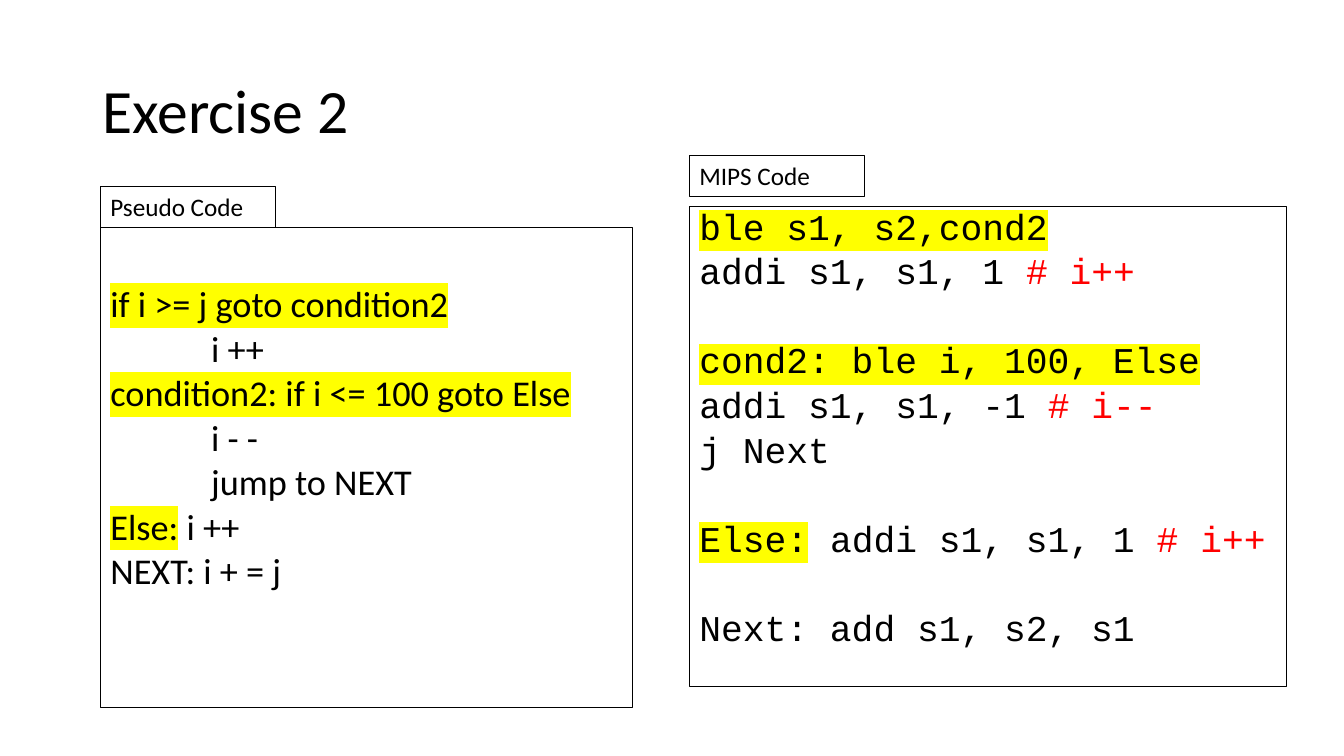
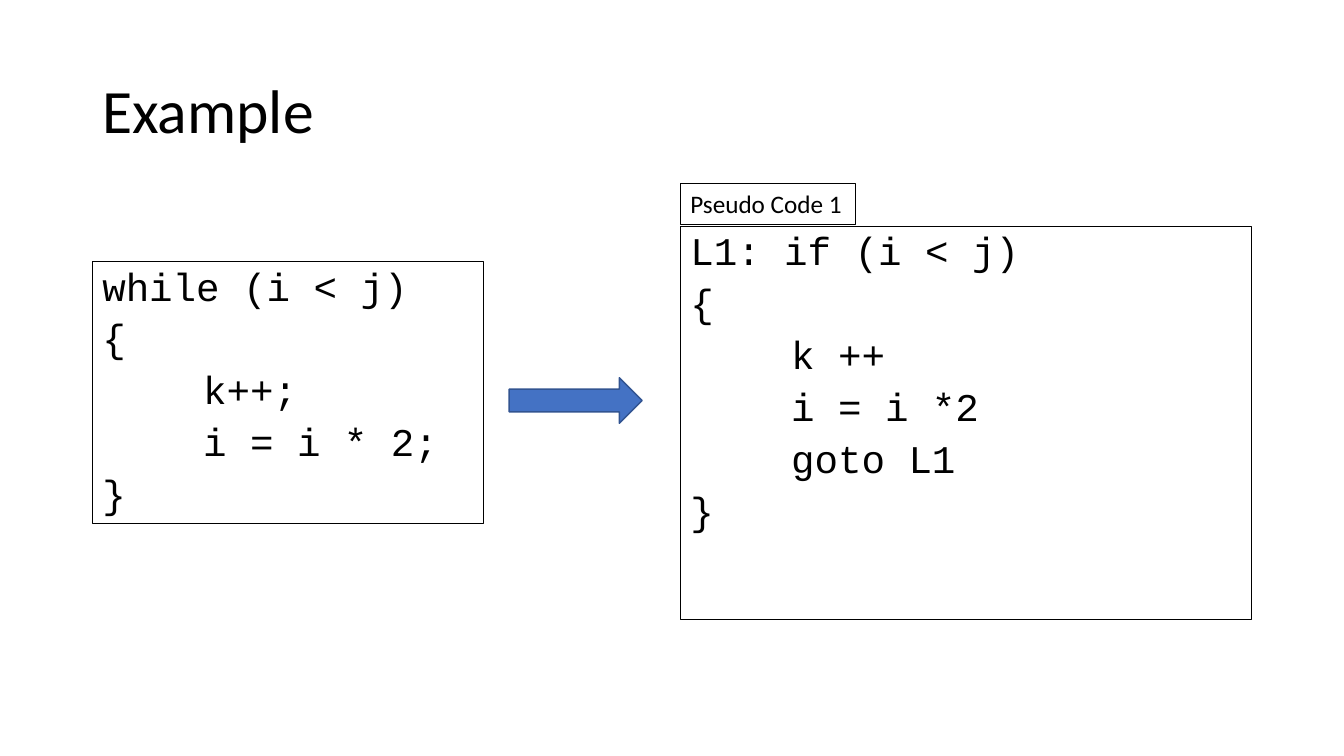
import lxml.etree
import pptx
import pptx.dml.color
import pptx.enum.shapes
import pptx.enum.text
import pptx.oxml.ns
import pptx.util

Pt = pptx.util.Pt
Shape = pptx.enum.shapes.MSO_SHAPE
Anchor = pptx.enum.text.MSO_ANCHOR
BLACK, RED, YELLOW = "000000", "FF0000", "FFFF00"
BLUE, DARK_BLUE = "4472C4", "325491"
SANS, MONO = "Calibri", "Courier New"


def color(value):
    return pptx.dml.color.RGBColor.from_string(value)


def plain(text):
    return (text, BLACK, None)


def marked(text):
    return (text, BLACK, YELLOW)


def remark(text):
    return (text, RED, None)


def line(*spans, level=0, gap=False):
    return spans, level, gap


class Slides:
    inset = 3.6
    indent = 72

    def __init__(self):
        self.deck = pptx.Presentation()
        self.deck.slide_width, self.deck.slide_height = Pt(960), Pt(540)
        self.page = None

    def add_page(self, title):
        self.page = self.deck.slides.add_slide(self.deck.slide_layouts[6])
        box = self.page.shapes.add_textbox(Pt(66), Pt(28.75), Pt(828), Pt(104.4))
        box.text_frame.word_wrap = True
        box.text_frame.vertical_anchor = Anchor.MIDDLE
        para = box.text_frame.paragraphs[0]
        para.line_spacing = 0.9
        self.add_span(para, plain(title), SANS, 44)

    def add_span(self, para, content, font, size):
        text, ink, highlight = content
        span = para.add_run()
        span.text = text
        span.font.name = font
        span.font.size = Pt(size)
        span.font.color.rgb = color(ink)
        if highlight:
            qn = pptx.oxml.ns.qn
            mark = lxml.etree.Element(qn("a:highlight"))
            lxml.etree.SubElement(mark, qn("a:srgbClr"), val=highlight)
            span.font._element.find(qn("a:solidFill")).addnext(mark)

    def add_shape(self, kind, left, top, width, height, fill=None, edge=BLACK, weight=0.75):
        shape = self.page.shapes.add_shape(kind, Pt(left), Pt(top), Pt(width), Pt(height))
        shape.shadow.inherit = False
        if fill:
            shape.fill.solid()
            shape.fill.fore_color.rgb = color(fill)
        else:
            shape.fill.background()
        shape.line.color.rgb = color(edge)
        shape.line.width = Pt(weight)
        return shape

    def add_frame(self, left, top, width, height, inset=inset):
        box = self.add_shape(Shape.RECTANGLE, left, top, width, height)
        frame = box.text_frame
        frame.word_wrap = True
        frame.vertical_anchor = Anchor.TOP
        frame.margin_top = Pt(inset)
        frame.paragraphs[0].alignment = pptx.enum.text.PP_ALIGN.LEFT
        return frame

    def add_label(self, left, top, text):
        frame = self.add_frame(left, top, 125.3, 29.1)
        self.add_span(frame.paragraphs[0], plain(text), SANS, 18)

    def add_code(self, left, top, width, height, lines, font, size, leading, before, inset=inset):
        frame = self.add_frame(left, top, width, height, inset)
        for number, (spans, level, gap) in enumerate(lines):
            para = frame.add_paragraph() if number else frame.paragraphs[0]
            para.alignment = pptx.enum.text.PP_ALIGN.LEFT
            para.line_spacing = Pt(leading)
            para.space_before = Pt(before + gap * (leading + before) if number else 0)
            if level:
                para._p.get_or_add_pPr().set("marL", str(Pt(level * self.indent)))
            for content in spans:
                self.add_span(para, content, font, size)


slides = Slides()

slides.add_page("Exercise 2")
exercise = {"size": 25.9, "leading": 25.8, "before": 6}
pseudo_code = [
    line(marked("if i >= j goto condition2")),
    line(plain("i ++"), level=1),
    line(marked("condition2: if i <= 100 goto Else")),
    line(plain("i - -"), level=1),
    line(plain("jump to NEXT"), level=1),
    line(marked("Else:"), plain(" i ++")),
    line(plain("NEXT: i + = j")),
]
mips_code = [
    line(marked("ble s1, s2,cond2")),
    line(plain("addi s1, s1, 1 "), remark("# i++")),
    line(marked("cond2: ble i, 100, Else"), gap=True),
    line(plain("addi s1, s1, -1 "), remark("# i--")),
    line(plain("j Next")),
    line(marked("Else:"), plain(" addi s1, s1, 1 "), remark("# i++"), gap=True),
    line(plain("Next: add s1, s2, s1"), gap=True),
]
slides.add_code(71.75, 162.5, 379.75, 342.75, pseudo_code, SANS, inset=43.8, **exercise)
slides.add_label(71.75, 133.2, "Pseudo Code")
slides.add_code(492.5, 147.6, 426.25, 342.75, mips_code, MONO, **exercise)
slides.add_label(492.5, 111.3, "MIPS Code")

slides.add_page("Example")
example = {"font": MONO, "size": 28, "leading": 30.4, "before": 6.7}
while_loop = [
    line(plain("while (i < j)")),
    line(plain("{")),
    line(plain("k++;"), level=1),
    line(plain("i = i * 2;"), level=1),
    line(plain("}")),
]
goto_loop = [
    line(plain("L1: if (i < j)")),
    line(plain("{")),
    line(plain("k ++"), level=1),
    line(plain("i = i *2"), level=1),
    line(plain("goto L1"), level=1),
    line(plain("}")),
]
slides.add_code(66, 186.7, 279.4, 187, while_loop, **example)
slides.add_code(486, 161.5, 408, 281.25, goto_loop, **example)
slides.add_shape(Shape.RIGHT_ARROW, 363.7, 269.8, 95, 32.6, BLUE, DARK_BLUE, 1)
slides.add_label(486, 131, "Pseudo Code 1")

slides.deck.save("out.pptx")
